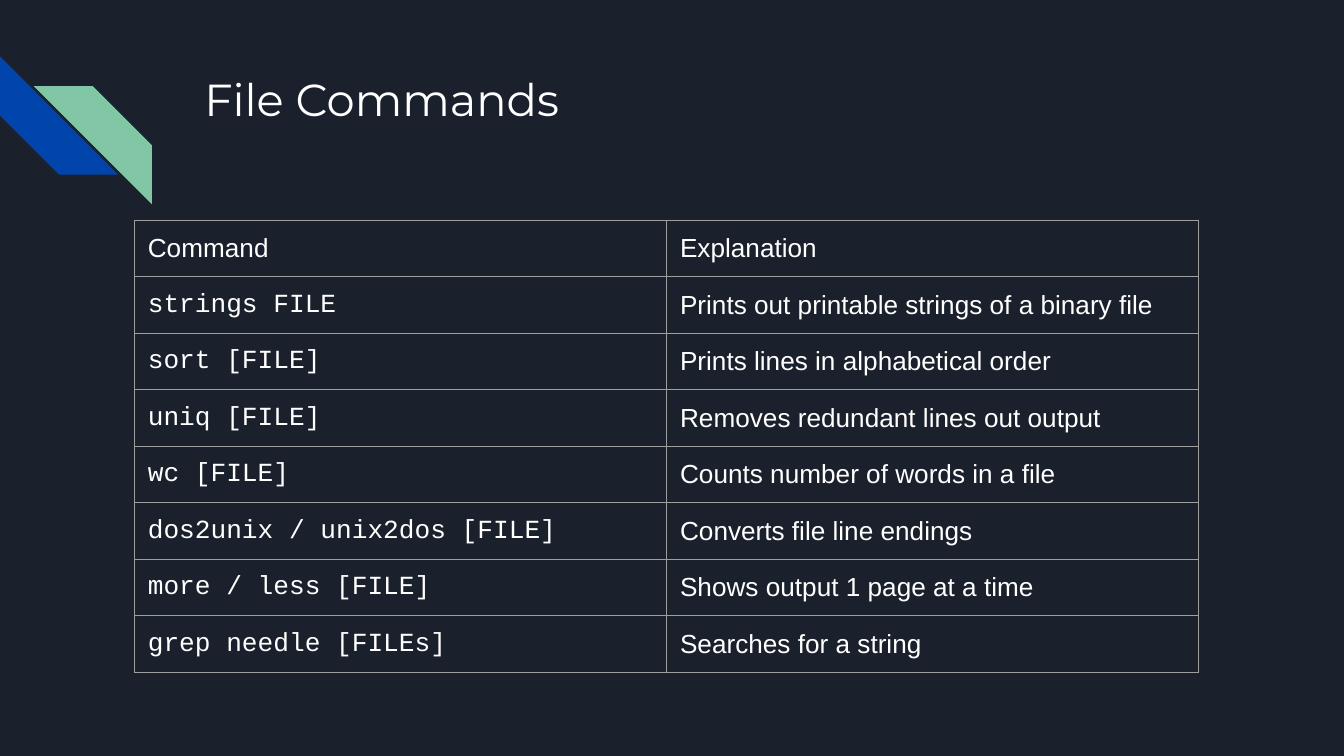
from lxml.etree import SubElement
from pptx import Presentation
from pptx.dml.color import RGBColor
from pptx.enum.shapes import MSO_SHAPE
from pptx.enum.text import MSO_ANCHOR, MSO_AUTO_SIZE, PP_ALIGN
from pptx.oxml.ns import qn
from pptx.util import Inches, Pt

NAVY = RGBColor(0x1B, 0x21, 0x2C)
BLUE = RGBColor(0x01, 0x45, 0xAC)
GREEN = RGBColor(0x82, 0xC7, 0xA5)
WHITE = RGBColor(0xFF, 0xFF, 0xFF)
GREY = RGBColor(0x9E, 0x9E, 0x9E)

ROWS = [
    ("Command", "Explanation"),
    ("strings FILE", "Prints out printable strings of a binary file"),
    ("sort [FILE]", "Prints lines in alphabetical order"),
    ("uniq [FILE]", "Removes redundant lines out output"),
    ("wc [FILE]", "Counts number of words in a file"),
    ("dos2unix / unix2dos [FILE]", "Converts file line endings"),
    ("more / less [FILE]", "Shows output 1 page at a time"),
    ("grep needle [FILEs]", "Searches for a string"),
]
PAD = {f"margin_{side}": Inches(0.1) for side in ("left", "top", "right", "bottom")}


def apply(obj, form):
    for key, val in form.items():
        setattr(obj, key, val)


def style(para, name, size):
    apply(para.font, {"name": name, "size": Pt(size), "bold": False})
    para.font.color.rgb = WHITE


# Slide in 16:9 and its background
prs = Presentation()
apply(prs, {"slide_width": Inches(10), "slide_height": Inches(10 * 9 / 16)})
slide = prs.slides.add_slide(prs.slide_layouts[5])
slide.background.fill.solid()
slide.background.fill.fore_color.rgb = NAVY

# Corner stripes
for left, top, turn, color in [(0, 0.42, 270, BLUE), (0.25, 0.64, 90, GREEN)]:
    stripe = slide.shapes.add_shape(
        MSO_SHAPE.DIAGONAL_STRIPE, Inches(left), Inches(top), Inches(0.88), Inches(0.88))
    stripe.rotation = turn
    stripe.shadow.inherit = False
    stripe.fill.solid()
    stripe.fill.fore_color.rgb = color
    stripe.line.fill.background()

# Title
title = slide.shapes.title
apply(title, {"left": Inches(1.42), "top": Inches(0.43),
              "width": Inches(7.7), "height": Inches(1)})
frame = title.text_frame
frame.text = "File Commands"
apply(frame, {**PAD, "word_wrap": True, "auto_size": MSO_AUTO_SIZE.NONE,
              "vertical_anchor": MSO_ANCHOR.TOP})
frame.paragraphs[0].alignment = PP_ALIGN.LEFT
style(frame.paragraphs[0], "Montserrat", 24)

# Command table
table = slide.shapes.add_table(
    len(ROWS), 2, Inches(1), Inches(1.64),
    Inches(7.92), Inches(0.42 * len(ROWS))).table
apply(table, {"first_row": False, "horz_banding": False})
for r, row in enumerate(ROWS):
    for c, text in enumerate(row):
        cell = table.cell(r, c)
        cell.text = text
        apply(cell, {**PAD, "vertical_anchor": MSO_ANCHOR.TOP})
        code = r > 0 and c == 0
        style(cell.text_frame.paragraphs[0], "Courier New" if code else "Arial", 14)

        # Borders come before the fill in the cell properties
        props = cell._tc.get_or_add_tcPr()
        for edge in ("lnL", "lnR", "lnT", "lnB"):
            line = SubElement(props, qn(f"a:{edge}"), w=str(Pt(0.75)))
            fill = SubElement(line, qn("a:solidFill"))
            SubElement(fill, qn("a:srgbClr"), val=str(GREY))
        cell.fill.background()

prs.save("out.pptx")
